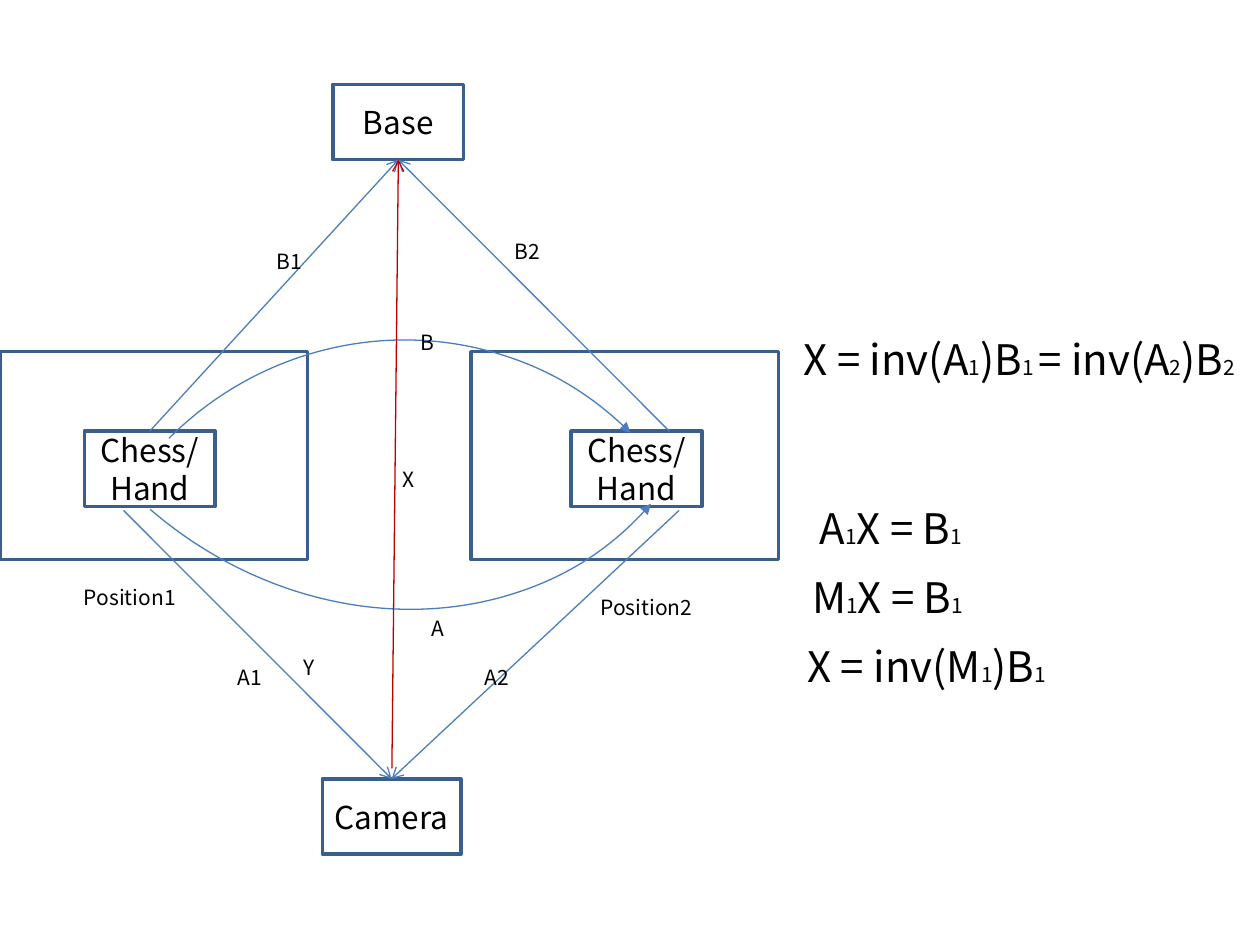
import pptx
import pptx.util
import pptx.dml.color
import pptx.enum.shapes
import pptx.enum.text
import pptx.oxml
from dataclasses import dataclass

Cm, Pt = pptx.util.Cm, pptx.util.Pt
RGB = pptx.dml.color.RGBColor
SHAPE = pptx.enum.shapes.MSO_SHAPE
STRAIGHT = pptx.enum.shapes.MSO_CONNECTOR.STRAIGHT
TOP, BOTTOM = 0, 2
NS = 'xmlns:a="http://schemas.openxmlformats.org/drawingml/2006/main"'


@dataclass(frozen=True)
class Theme:
    font: str = "Noto Sans CJK KR"
    ink: RGB = RGB(0, 0, 0)
    border: RGB = RGB(0x3A, 0x5F, 0x8C)
    arrow: RGB = RGB(0x4B, 0x7E, 0xBC)
    unknown: RGB = RGB(0xC0, 0, 0)
    node: Pt = Pt(18)
    label: Pt = Pt(12)
    equation: Pt = Pt(24)


theme = Theme()


def write(holder, text, size):
    """Write centred text; parts between bars alternate full size and index size."""
    frame = holder.text_frame
    frame_format = {
        "word_wrap": True,
        "vertical_anchor": pptx.enum.text.MSO_ANCHOR.MIDDLE,
        "margin_left": Cm(0.1),
        "margin_right": Cm(0.1),
    }
    for key, value in frame_format.items():
        setattr(frame, key, value)
    paragraph = frame.paragraphs[0]
    paragraph.alignment = pptx.enum.text.PP_ALIGN.CENTER
    for index, part in enumerate(text.split("|")):
        if not part:
            continue
        run = paragraph.add_run()
        run.text = part
        run_size = theme.label if index % 2 else size
        for key, value in {"name": theme.font, "size": run_size}.items():
            setattr(run.font, key, value)
        run.font.color.rgb = theme.ink


def style_arrow(arrow, color, end, head):
    arrow.line.color.rgb = color
    arrow.line.width = Pt(0.75)
    arrow.line._get_or_add_ln().append(
        pptx.oxml.parse_xml(f'<a:{end} {NS} type="{head}"/>'))


deck = pptx.Presentation()
deck.slide_width, deck.slide_height = Cm(25.4), Cm(19.05)
slide = deck.slides.add_slide(deck.slide_layouts[6])
shapes = slide.shapes

# Boxes: the two positions surround the two hands
boxes = {}
for key, text, left, top, width, height in [
    ("base", "Base", 6.71, 1.7, 2.64, 1.52),
    ("position 1", "", 0, 7.09, 6.2, 4.19),
    ("position 2", "", 9.5, 7.09, 6.2, 4.19),
    ("hand 1", "Chess/Hand", 1.7, 8.69, 2.64, 1.52),
    ("hand 2", "Chess/Hand", 11.51, 8.69, 2.64, 1.52),
    ("camera", "Camera", 6.5, 15.7, 2.79, 1.52),
]:
    box = shapes.add_shape(SHAPE.RECTANGLE, Cm(left), Cm(top), Cm(width), Cm(height))
    box.shadow.inherit = False
    box.fill.background()
    box.line.color.rgb = theme.border
    box.line.width = Pt(2)
    if text:
        write(box, text, theme.node)
    boxes[key] = box

# Curved motions A and B between the two hands
for left, top, width, height, rotation, end in [
    (0.71, -2.36, 13.36, 15.14, 130.8, "headEnd"),
    (1.35, 6.93, 13.31, 13, 315, "tailEnd"),
]:
    motion = shapes.add_shape(SHAPE.ARC, Cm(left), Cm(top), Cm(width), Cm(height))
    motion.rotation = rotation
    motion.shadow.inherit = False
    motion.fill.background()
    style_arrow(motion, theme.arrow, end, "triangle")

# Straight transforms to the camera and to the base
for x, y, target, side, color, source in [
    (2.49, 10.29, "camera", TOP, theme.arrow, None),
    (13.69, 10.29, "camera", TOP, theme.arrow, None),
    (3.02, 8.69, "base", BOTTOM, theme.arrow, "hand 1"),
    (13.49, 8.69, "base", BOTTOM, theme.arrow, None),
    (7.9, 15.49, "base", BOTTOM, theme.unknown, None),
]:
    transform = shapes.add_connector(STRAIGHT, Cm(x), Cm(y), Cm(x), Cm(y))
    if source:
        transform.begin_connect(boxes[source], TOP)
    transform.end_connect(boxes[target], side)
    style_arrow(transform, color, "tailEnd", "arrow")
    transform._element.spPr.append(pptx.oxml.parse_xml(f"<a:effectLst {NS}/>"))

# Labels and equations, grouped by box size
for size, width, height, entries in [
    (theme.label, 2.64, 1.52, [("Position1", 1.3, 11.28), ("Position2", 11.71, 11.48)]),
    (theme.label, 2.26, 1.14, [
        ("A", 7.7, 12.09), ("B", 7.49, 6.32),
        ("A1", 3.91, 13.08), ("A2", 8.89, 13.08),
        ("B1", 4.7, 4.7), ("B2", 9.5, 4.5),
        ("Y", 5.11, 12.88), ("X", 7.11, 9.09),
    ]),
    (theme.equation, 9.7, 1.4, [("X = inv(A|1|)B|1 |= inv(A|2|)B|2", 15.7, 6.53)]),
    (theme.equation, 9.3, 1.4, [("A|1|X = B|1", 13.31, 9.93)]),
    (theme.equation, 7.19, 1.4, [
        ("M|1|X = B|1", 14.3, 11.33),
        ("X = inv(M|1|)B|1", 15.09, 12.73),
    ]),
]:
    for text, left, top in entries:
        caption = shapes.add_textbox(Cm(left), Cm(top), Cm(width), Cm(height))
        write(caption, text, size)

deck.save("out.pptx")
